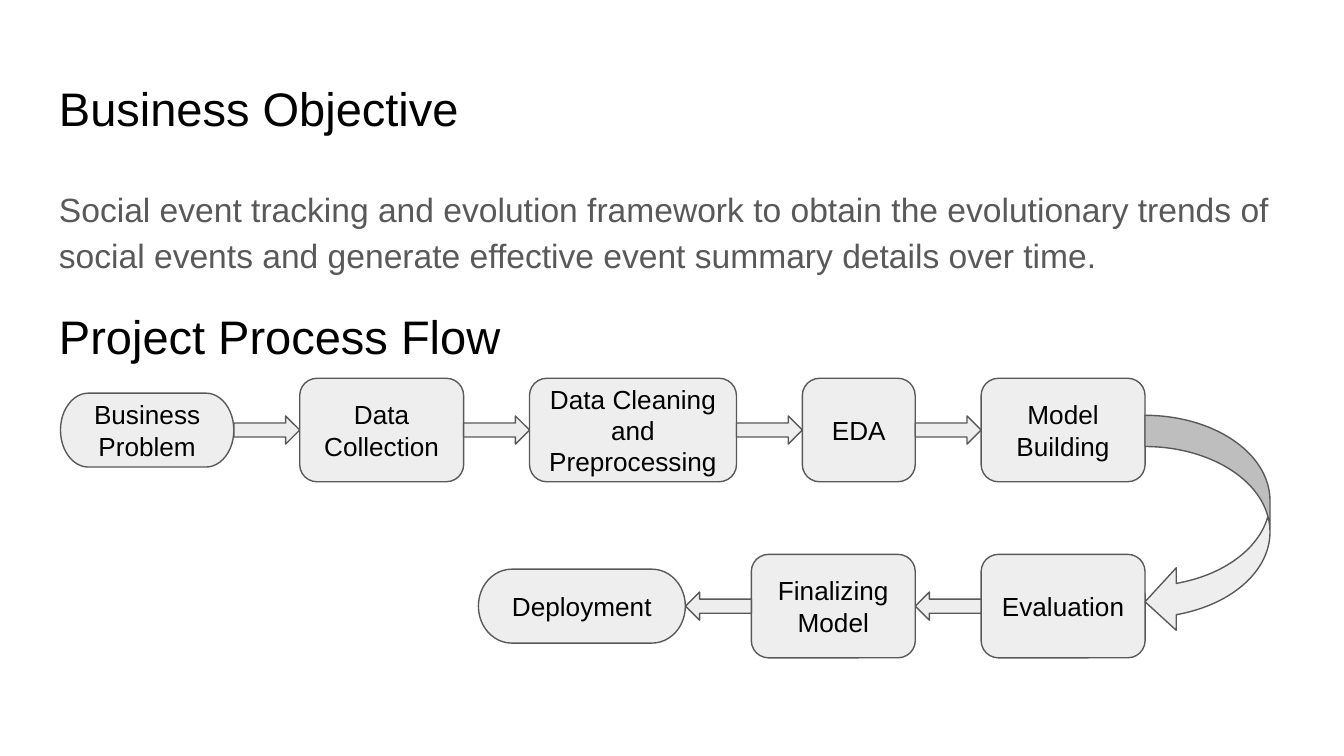
from pptx import Presentation
from pptx.dml.color import RGBColor
from pptx.enum.shapes import MSO_SHAPE as SHAPE
from pptx.enum.text import MSO_ANCHOR as ANCHOR, PP_ALIGN as ALIGN
from pptx.util import Inches, Pt

# Content: text, top, height, size, colour, line spacing
TEXTS = [
    ("Business Objective", 0.49, 0.63, 25.2, "000000", 1.0),
    ("Social event tracking and evolution framework to obtain the evolutionary "
     "trends of social events and generate effective event summary details "
     "over time.", 1.26, 1, 18, "595959", 1.15),
    ("Project Process Flow", 2.19, 0.63, 25.2, "000000", 1.0),
]

# Steps in flow order: label, width, shape
STEP, END = SHAPE.ROUNDED_RECTANGLE, SHAPE.FLOWCHART_TERMINATOR
FORWARD = [
    ("Business Problem", 1.29, END),
    ("Data Collection", 1.22, STEP),
    ("Data Cleaning and Preprocessing", 1.54, STEP),
    ("EDA", 0.84, STEP),
    ("Model Building", 1.22, STEP),
]
BACKWARD = [
    ("Evaluation", 1.22, STEP),
    ("Finalizing Model", 1.22, STEP),
    ("Deployment", 1.54, END),
]

LEFT, GAP, ARROW_H = 0.45, 0.49, 0.21
HEIGHTS = {STEP: 0.77, END: 0.55}
FORWARD_Y, BACKWARD_Y = 3.2, 4.51

# Widescreen slide, 16:9
prs = Presentation()
prs.slide_width, prs.slide_height = Inches(10), Inches(10 * 9 / 16)
s = prs.slides.add_slide(prs.slide_layouts[6])


def rgb(value):
    return RGBColor.from_string(value)


def write(sp, text, size, color, align=ALIGN.LEFT, anchor=ANCHOR.TOP, spacing=1.0):
    tf = sp.text_frame
    tf.word_wrap = True
    tf.vertical_anchor = anchor
    tf.margin_left = tf.margin_right = tf.margin_top = tf.margin_bottom = Inches(0.1)
    p = tf.paragraphs[0]
    p.alignment, p.line_spacing = align, spacing
    r = p.add_run()
    r.text = text
    r.font.name, r.font.size = "Arial", Pt(size)
    r.font.color.rgb = rgb(color)


def add_part(kind, x, y, w, h):
    sp = s.shapes.add_shape(kind, Inches(x), Inches(y), Inches(w), Inches(h))
    sp.shadow.inherit = False
    sp.fill.solid()
    sp.fill.fore_color.rgb = rgb("EEEEEE")
    sp.line.color.rgb = rgb("595959")
    sp.line.width = Pt(0.75)
    return sp


def add_row(steps, start, center, direction):
    """Lay steps from start, rightwards (1) or leftwards (-1); return the end."""
    edge = start
    for i, (label, width, kind) in enumerate(steps):
        if i:
            end = edge + direction * GAP
            arrow = add_part(SHAPE.RIGHT_ARROW, min(edge, end),
                             center - ARROW_H / 2, GAP, ARROW_H)
            arrow.rotation = 0 if direction > 0 else 180
            edge = end
        end = edge + direction * width
        height = HEIGHTS[kind]
        sp = add_part(kind, min(edge, end), center - height / 2, width, height)
        write(sp, label, 14, "000000", ALIGN.CENTER, ANCHOR.MIDDLE)
        edge = end
    return edge


# Headings and objective
for text, top, height, size, color, spacing in TEXTS:
    box = s.shapes.add_textbox(Inches(0.34), Inches(top), Inches(9.32), Inches(height))
    write(box, text, size, color, spacing=spacing)

# Process flow: out to the right, then back to the left
turn = add_row(FORWARD, LEFT, FORWARD_Y, 1)
add_row(BACKWARD, turn, BACKWARD_Y, -1)

# Curved arrow joining the two rows
curve = add_part(SHAPE.CURVED_LEFT_ARROW, turn, 3.09, 0.93, 1.62)
for i, value in enumerate((0.25, 0.5, 0.25)):
    curve.adjustments[i] = value

prs.save("out.pptx")
